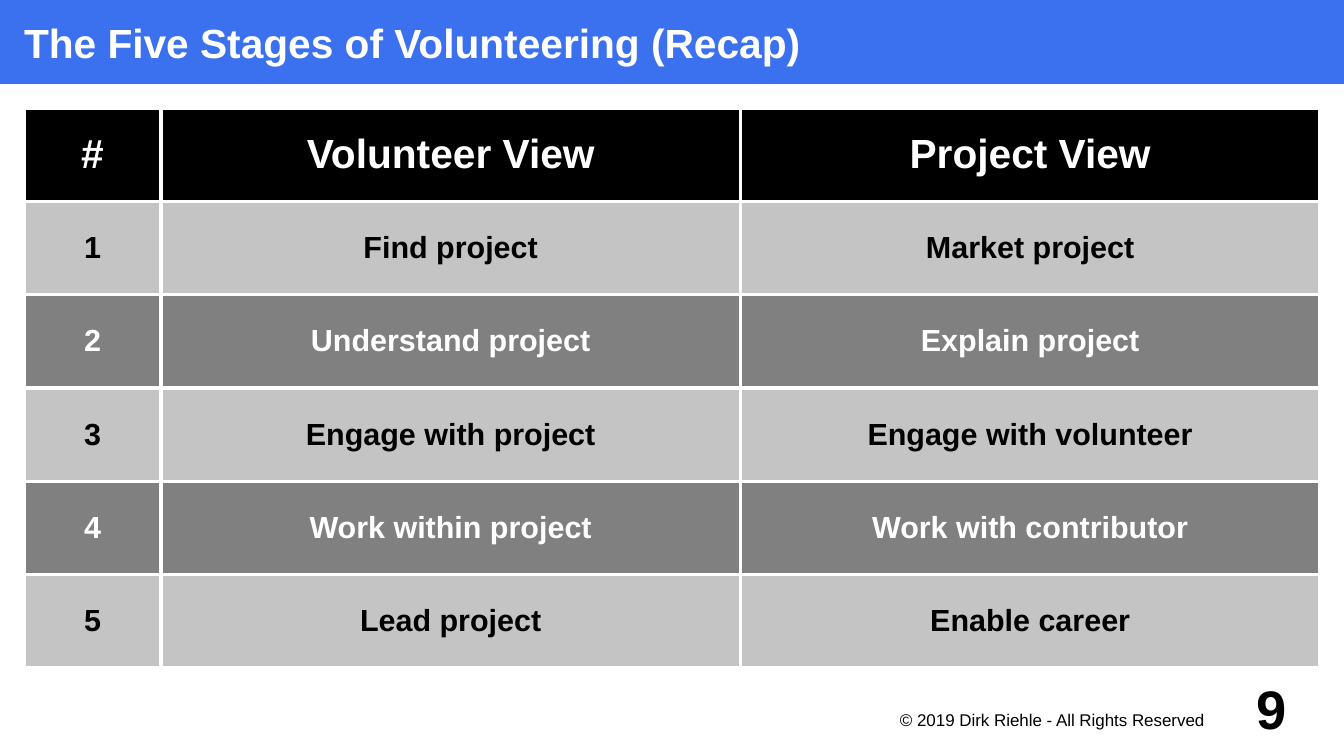
from dataclasses import dataclass

from lxml.etree import SubElement
from pptx import Presentation
from pptx.dml.color import RGBColor
from pptx.enum.shapes import MSO_SHAPE
from pptx.enum.text import MSO_ANCHOR, PP_ALIGN
from pptx.oxml.ns import qn
from pptx.util import Pt

PX = 7495  # EMU per px, 122 px to the inch
SLIDE_W, SLIDE_H = 1344, 756


@dataclass(frozen=True)
class Theme:
    font: str = "Arial"
    blue: str = "3B70EE"
    black: str = "000000"
    white: str = "FFFFFF"
    light: str = "C4C4C4"
    dark: str = "808080"
    heading: int = 24
    body: int = 18
    footer: int = 10
    number: int = 32
    border: float = 2.27


THEME = Theme()

STAGES = [
    ("#", "Volunteer View", "Project View"),
    ("1", "Find project", "Market project"),
    ("2", "Understand project", "Explain project"),
    ("3", "Engage with project", "Engage with volunteer"),
    ("4", "Work within project", "Work with contributor"),
    ("5", "Lead project", "Enable career"),
]


def emu(*lengths):
    return [n * PX for n in lengths]


def set_margins(target, left, top, right, bottom):
    (target.margin_left, target.margin_top,
     target.margin_right, target.margin_bottom) = emu(left, top, right, bottom)


def write(tf, text, size, color, bold=True, align=PP_ALIGN.CENTER):
    p = tf.paragraphs[0]
    p.alignment = align
    r = p.add_run()
    r.text = text
    r.font.name = THEME.font
    r.font.size = Pt(size)
    r.font.bold = bold
    r.font.color.rgb = RGBColor.from_string(color)


def add_title_bar(s, box, text):
    sp = s.shapes.add_shape(MSO_SHAPE.RECTANGLE, *emu(*box))
    sp.shadow.inherit = False
    sp.fill.solid()
    sp.fill.fore_color.rgb = RGBColor.from_string(THEME.blue)
    sp.line.fill.background()
    tf = sp.text_frame
    tf.word_wrap = True
    tf.vertical_anchor = MSO_ANCHOR.MIDDLE
    set_margins(tf, 24, 0, 0, 0)
    write(tf, text, THEME.heading, THEME.white, align=PP_ALIGN.LEFT)


def add_borders(cell):
    tc_pr = cell._tc.get_or_add_tcPr()
    for side in ("lnL", "lnR", "lnT", "lnB"):
        ln = SubElement(tc_pr, qn(f"a:{side}"), w=str(Pt(THEME.border)))
        fill = SubElement(ln, qn("a:solidFill"))
        SubElement(fill, qn("a:srgbClr"), val=THEME.white)


def row_style(row):
    """Return fill, text colour and type size of a table row."""
    if row == 0:
        return THEME.black, THEME.white, THEME.heading
    if row % 2:
        return THEME.light, THEME.black, THEME.body
    return THEME.dark, THEME.white, THEME.body


def add_stage_table(s, box, rows, number_width):
    """Fill the box with equal rows, a number column and equal view columns."""
    _, _, width, height = box
    views = len(rows[0]) - 1
    table = s.shapes.add_table(len(rows), views + 1, *emu(*box)).table
    table.first_row = table.horz_banding = False
    for i, column in enumerate(table.columns):
        column.width = (width - number_width) * PX // views if i else number_width * PX
    for i, texts in enumerate(rows):
        table.rows[i].height = height * PX // len(rows)
        fill, color, size = row_style(i)
        for j, text in enumerate(texts):
            cell = table.cell(i, j)
            add_borders(cell)
            cell.fill.solid()
            cell.fill.fore_color.rgb = RGBColor.from_string(fill)
            cell.vertical_anchor = MSO_ANCHOR.MIDDLE
            set_margins(cell, 24, 6, 24, 6)
            write(cell.text_frame, text, size, color)


def add_footer_text(s, box, margins, anchor, text, size, bold):
    tf = s.shapes.add_textbox(*emu(*box)).text_frame
    tf.word_wrap = True
    tf.vertical_anchor = anchor
    set_margins(tf, *margins)
    write(tf, text, size, THEME.black, bold)


def add_footer(s, box, notice, number):
    left, top, width, height = box
    add_footer_text(s, (left, top + 36, 384, 36), (0, 2, 10, 0), MSO_ANCHOR.TOP,
                    notice, THEME.footer, False)
    add_footer_text(s, (left + width - 96, top, 96, height), (0, 0, 0, 0),
                    MSO_ANCHOR.MIDDLE, number, THEME.number, True)


def main():
    prs = Presentation()
    prs.slide_width, prs.slide_height = emu(SLIDE_W, SLIDE_H)
    s = prs.slides.add_slide(prs.slide_layouts[6])
    add_title_bar(s, (0, 0, SLIDE_W, 84), "The Five Stages of Volunteering (Recap)")
    add_stage_table(s, (24, 108, SLIDE_W - 48, 560), STAGES, 137)
    add_footer(s, (865, 672, 455, 72), "© 2019 Dirk Riehle - All Rights Reserved", "9")
    prs.save("out.pptx")


if __name__ == "__main__":
    main()
